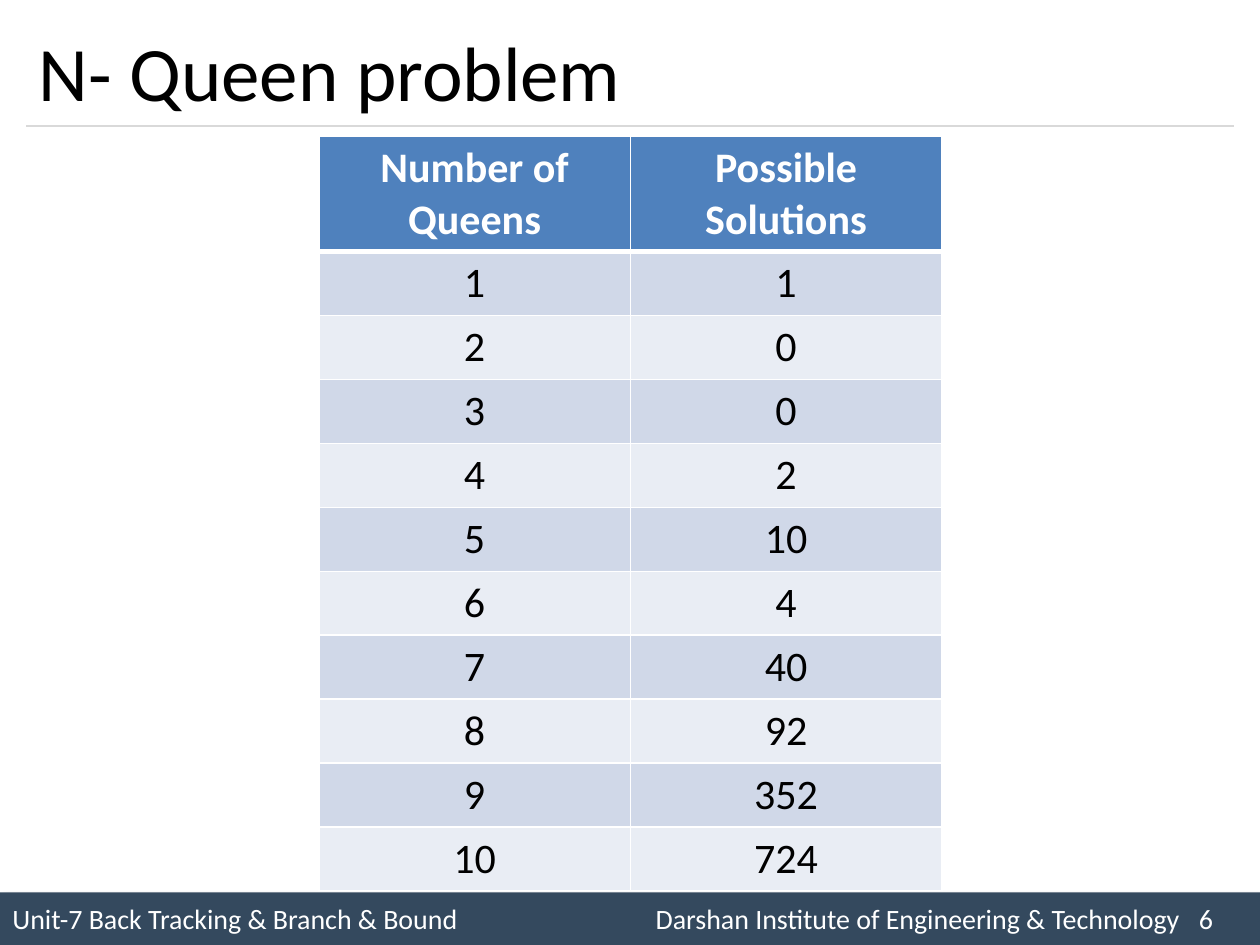
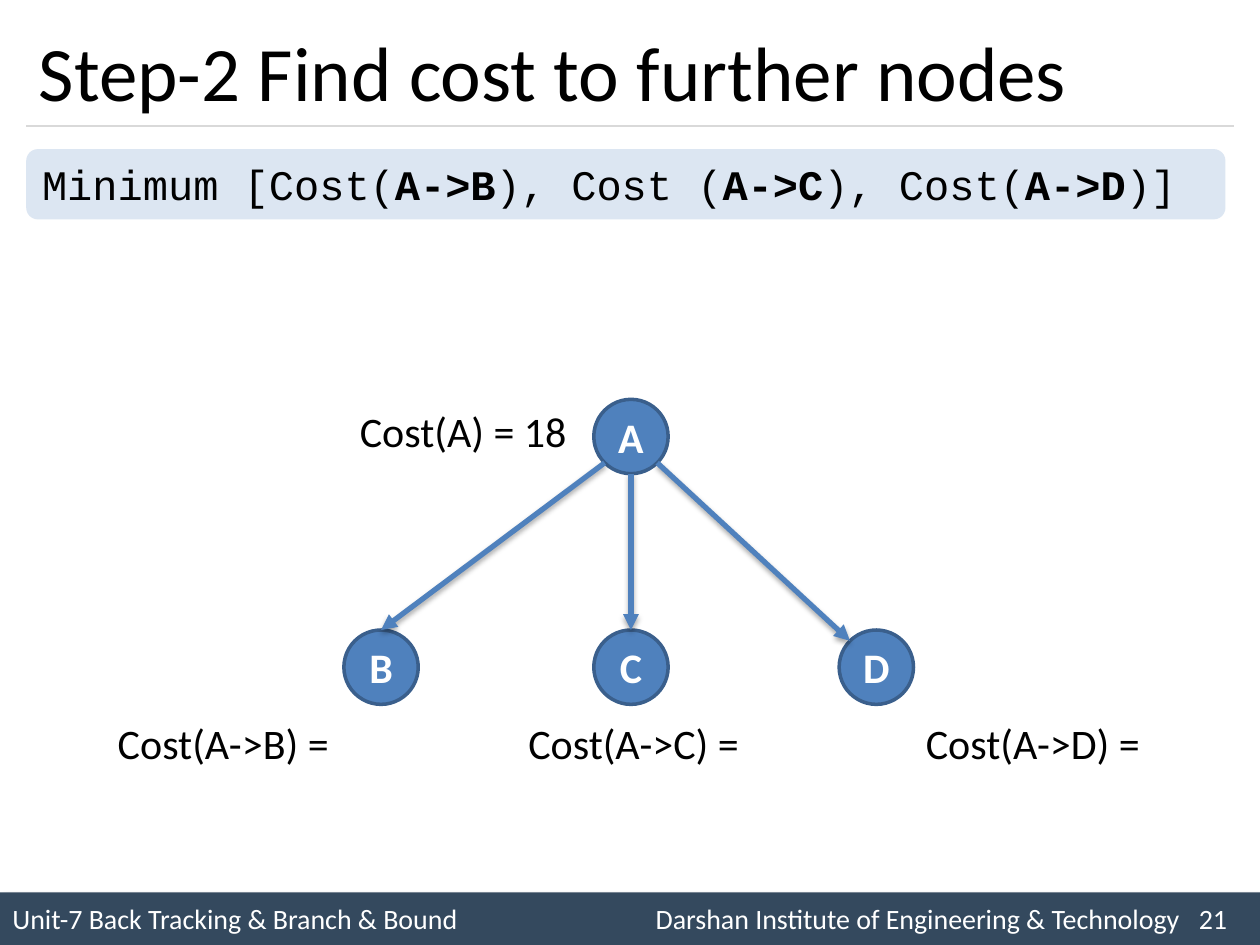
"""Build two lecture slides on the N-Queen problem and on branch and bound."""
from dataclasses import dataclass
from math import cos, radians, sin

from lxml.etree import SubElement
from pptx import Presentation
from pptx.dml.color import RGBColor
from pptx.enum.shapes import MSO_CONNECTOR, MSO_SHAPE
from pptx.enum.text import MSO_ANCHOR, PP_ALIGN
from pptx.oxml.ns import qn
from pptx.util import Pt


@dataclass(frozen=True)
class Theme:
    """Colours, fonts and type sizes of the deck."""
    bar: str = "34495E"
    rule: str = "D9D9D9"
    accent: str = "4F81BD"
    outline: str = "3A5F8C"
    bands: tuple[str, str] = ("E9EDF4", "D0D8E8")
    panel: str = "DCE6F2"
    dark: str = "000000"
    light: str = "FFFFFF"
    font: str = "Calibri"
    code_font: str = "Courier New"
    title_size: float = 44
    text_size: float = 24
    footer_size: float = 16


@dataclass(frozen=True)
class Box:
    """A rectangle in points."""
    left: float
    top: float
    width: float
    height: float

    def emu(self) -> tuple[int, int, int, int]:
        """Give the four lengths for python-pptx."""
        return Pt(self.left), Pt(self.top), Pt(self.width), Pt(self.height)


@dataclass(frozen=True)
class Node:
    """A round tree node placed by its top left corner."""
    name: str
    left: float
    top: float

    def rim(self, degrees: float) -> tuple[float, float]:
        """Give the point on the circle, clockwise from the right."""
        radius, turn = NODE_SIZE / 2, radians(degrees)
        return (self.left + radius * (1 + cos(turn)),
                self.top + radius * (1 + sin(turn)))


@dataclass(frozen=True)
class Shadow:
    """An outer shadow: opacity in percent, blur and distance in points."""
    opacity: int
    blur: float
    distance: float
    degrees: int


THEME = Theme()
NODE_SIZE = 42.5
BAR_SHADOW = Shadow(40, 4, 3, 45)
ARROW_SHADOW = Shadow(35, 3.1, 1.8, 90)

ROOT = Node("A", 339.3, 228.2)
LEAF_TOP = 360
CHILD_B = Node("B", 196.5, LEAF_TOP)
CHILD_C = Node("C", 339.3, LEAF_TOP)
CHILD_D = Node("D", 479.5, LEAF_TOP)
ARROWS = ((CHILD_C, 90, 270), (CHILD_D, 45, 225), (CHILD_B, 135, 270))
LABEL_TOP = 406.2
LABELS = (
    ("Cost(A) = 18", Box(198.5, 228.2, 142, 36)),
    ("Cost(A->B) =", Box(60.2, LABEL_TOP, 166, 36)),
    ("Cost(A->C) =", Box(294.8, LABEL_TOP, 166, 36)),
    ("Cost(A->D) =", Box(522, LABEL_TOP, 166, 36)),
)
FORMULA = (("Minimum [Cost(", False), ("A->B", True), ("), Cost (", False),
           ("A->C", True), ("), Cost(", False), ("A->D", True), (")]", False))
HEADINGS = ("Number of Queens", "Possible Solutions")
SOLUTIONS = (1, 0, 0, 2, 10, 4, 40, 92, 352, 724)


def rgb(color: str) -> RGBColor:
    """Turn a hex colour into an RGBColor."""
    return RGBColor.from_string(color)


def add_run(p, text: str, color: str, size: float = THEME.text_size,
            bold: bool = False, font: str = THEME.font) -> None:
    """Add one formatted run to a paragraph."""
    r = p.add_run()
    r.text = text
    r.font.name, r.font.size, r.font.bold = font, Pt(size), bold
    r.font.color.rgb = rgb(color)


def add_shadow(effects, shadow: Shadow) -> None:
    """Put an outer shadow into an effect list."""
    outer = SubElement(effects, qn("a:outerShdw"), blurRad=str(Pt(shadow.blur)),
                       dist=str(Pt(shadow.distance)), dir=str(shadow.degrees * 60000),
                       algn="tl", rotWithShape="0")
    tint = SubElement(outer, qn("a:srgbClr"), val=THEME.dark)
    SubElement(tint, qn("a:alpha"), val=str(shadow.opacity * 1000))


def add_panel(s, kind: MSO_SHAPE, box: Box, fill: str, outline: str | None = None):
    """Add a filled shape without a shadow."""
    sp = s.shapes.add_shape(kind, *box.emu())
    sp.shadow.inherit = False
    sp.fill.solid()
    sp.fill.fore_color.rgb = rgb(fill)
    if outline:
        sp.line.color.rgb = rgb(outline)
        sp.line.width = Pt(2)
    else:
        sp.line.fill.background()
    return sp


def add_line(s, start: tuple[float, float], end: tuple[float, float],
             color: str, width: float, arrow: bool = False) -> None:
    """Add a straight line, or an arrow with a shadow."""
    line = s.shapes.add_connector(MSO_CONNECTOR.STRAIGHT, *map(Pt, start + end))
    line.line.color.rgb = rgb(color)
    line.line.width = Pt(width)
    spPr = line.element.spPr
    effects = SubElement(spPr, qn("a:effectLst"))
    if arrow:
        SubElement(spPr.find(qn("a:ln")), qn("a:tailEnd"), type="triangle")
        add_shadow(effects, ARROW_SHADOW)


def add_footer(s, number: int) -> None:
    """Add the bottom band with its tabbed text."""
    bar = add_panel(s, MSO_SHAPE.RECTANGLE, Box(0, 510, 720, 30), THEME.bar)
    add_shadow(bar.element.spPr.find(qn("a:effectLst")), BAR_SHADOW)
    tf = bar.text_frame
    tf.vertical_anchor = MSO_ANCHOR.MIDDLE
    p = tf.paragraphs[0]
    p.alignment = PP_ALIGN.LEFT
    tabs = SubElement(p._p.get_or_add_pPr(), qn("a:tabLst"))
    for position in (367.6, 678):
        SubElement(tabs, qn("a:tab"), pos=str(Pt(position)), algn="l")
    for text in ("Unit-7 Back Tracking & Branch & Bound",
                 "\tDarshan Institute of Engineering & Technology", f"\t{number}"):
        add_run(p, text, THEME.light, THEME.footer_size)


def add_slide(prs, title: str, number: int):
    """Add a slide with the shared title, rule and footer."""
    s = prs.slides.add_slide(prs.slide_layouts[5])
    add_footer(s, number)
    add_line(s, (15, 72), (705, 72), THEME.rule, 0.75)
    sp = s.shapes.title
    sp.left, sp.top, sp.width, sp.height = Box(15, 8.6, 690, 63.4).emu()
    tf = sp.text_frame
    tf.vertical_anchor = MSO_ANCHOR.MIDDLE
    p = tf.paragraphs[0]
    p.alignment = PP_ALIGN.LEFT
    add_run(p, title, THEME.dark, THEME.title_size)
    return s


def set_borders(tc, row: int) -> None:
    """Draw white cell borders, thicker under the header row."""
    thick = {0: "lnB", 1: "lnT"}.get(row)
    tcPr = tc.get_or_add_tcPr()
    for side in ("lnL", "lnR", "lnT", "lnB"):
        ln = SubElement(tcPr, qn(f"a:{side}"), w=str(Pt(3 if side == thick else 1)))
        SubElement(SubElement(ln, qn("a:solidFill")), qn("a:srgbClr"), val=THEME.light)


def add_queen_table(s) -> None:
    """Add the table of solution counts."""
    rows = [HEADINGS, *enumerate(SOLUTIONS, 1)]
    frame = s.shapes.add_table(len(rows), 2, *Box(182.2, 78.1, 356, 430.8).emu())
    table = frame.table
    for col in table.columns:
        col.width = Pt(178)
    for i, values in enumerate(rows):
        header = i == 0
        table.rows[i].height = Pt(65.8 if header else 36.5)
        for j, value in enumerate(values):
            cell = table.cell(i, j)
            set_borders(cell._tc, i)
            cell.fill.solid()
            cell.fill.fore_color.rgb = rgb(THEME.accent if header else THEME.bands[i % 2])
            p = cell.text_frame.paragraphs[0]
            p.alignment = PP_ALIGN.CENTER
            add_run(p, str(value), THEME.light if header else THEME.dark, bold=header)


def add_node(s, node: Node) -> None:
    """Add a round node with its letter."""
    box = Box(node.left, node.top, NODE_SIZE, NODE_SIZE)
    tf = add_panel(s, MSO_SHAPE.OVAL, box, THEME.accent, THEME.outline).text_frame
    tf.word_wrap = False
    tf.vertical_anchor = MSO_ANCHOR.MIDDLE
    p = tf.paragraphs[0]
    p.alignment = PP_ALIGN.CENTER
    add_run(p, node.name, THEME.light, bold=True)


def add_label(s, text: str, box: Box) -> None:
    """Add a cost label."""
    tf = s.shapes.add_textbox(*box.emu()).text_frame
    tf.word_wrap = True
    add_run(tf.paragraphs[0], text, THEME.dark)


def add_formula(s) -> None:
    """Add the rounded panel with the minimum cost formula."""
    sp = add_panel(s, MSO_SHAPE.ROUNDED_RECTANGLE, Box(15, 85.2, 685.3, 40.2), THEME.panel)
    tf = sp.text_frame
    tf.vertical_anchor = MSO_ANCHOR.TOP
    p = tf.paragraphs[0]
    p.alignment = PP_ALIGN.JUSTIFY
    for text, bold in FORMULA:
        add_run(p, text, THEME.dark, bold=bold, font=THEME.code_font)


def add_cost_tree(s) -> None:
    """Add the tree of nodes, arrows and costs."""
    for node in (ROOT, CHILD_B, CHILD_C, CHILD_D):
        add_node(s, node)
    for child, leave, arrive in ARROWS:
        add_line(s, ROOT.rim(leave), child.rim(arrive), THEME.accent, 3, arrow=True)
    for text, box in LABELS:
        add_label(s, text, box)


def main() -> None:
    """Build and save the deck."""
    prs = Presentation()
    prs.slide_width, prs.slide_height = Pt(720), Pt(540)
    add_queen_table(add_slide(prs, "N- Queen problem", 6))
    s = add_slide(prs, "Step-2 Find cost to further nodes", 21)
    add_cost_tree(s)
    add_formula(s)
    prs.save("out.pptx")


if __name__ == "__main__":
    main()
